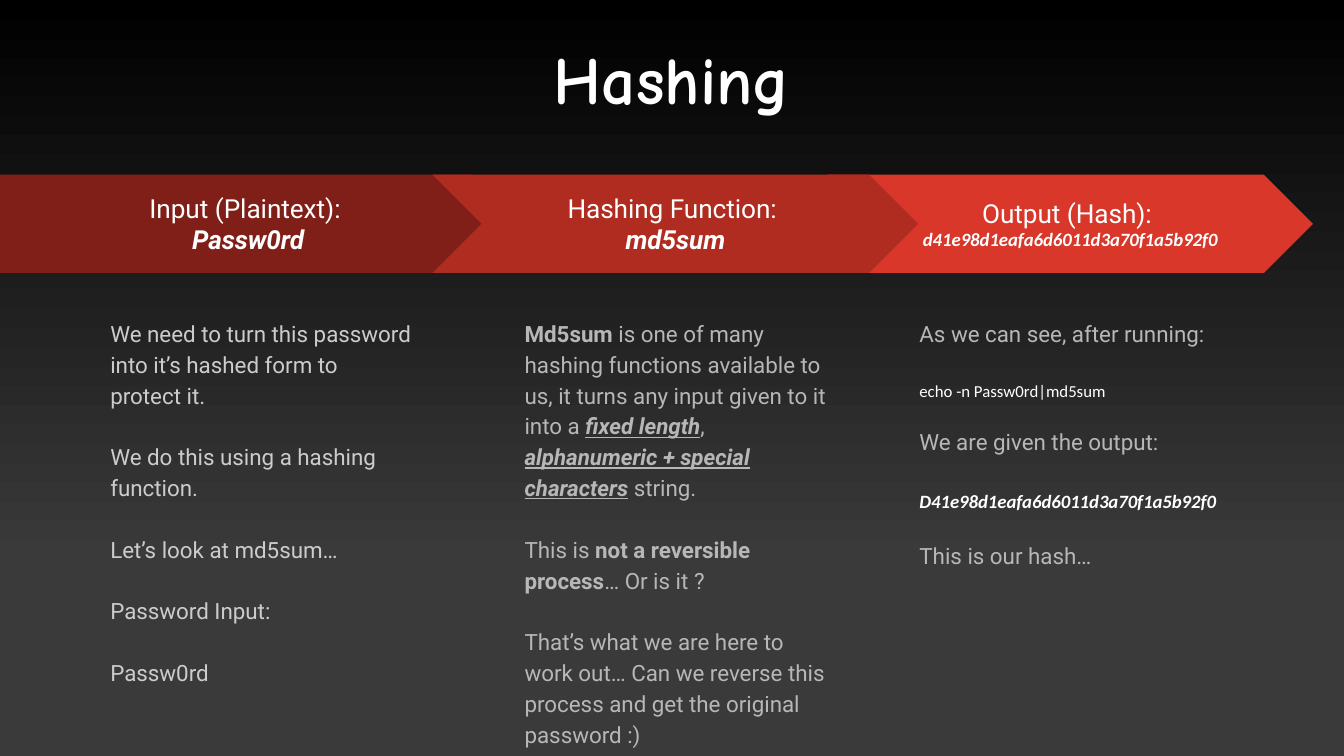
from dataclasses import dataclass, replace

from lxml.etree import SubElement
from pptx import Presentation
from pptx.dml.color import RGBColor
from pptx.enum.shapes import MSO_SHAPE
from pptx.enum.text import MSO_ANCHOR, MSO_AUTO_SIZE, PP_ALIGN
from pptx.oxml.ns import qn
from pptx.util import Cm, Pt

BLACK = RGBColor(0x00, 0x00, 0x00)
CHARCOAL = RGBColor(0x3A, 0x3A, 0x3A)
WHITE = RGBColor(0xFF, 0xFF, 0xFF)
LIGHT_GREY = RGBColor(0xCC, 0xCC, 0xCC)
GREY = RGBColor(0xB7, 0xB7, 0xB7)
DARK_RED = RGBColor(0x80, 0x1F, 0x17)
MID_RED = RGBColor(0xB0, 0x2B, 0x20)
BRIGHT_RED = RGBColor(0xD8, 0x37, 0x29)


@dataclass(frozen=True)
class TextStyle:
    size: float
    name: str
    color: RGBColor = WHITE
    bold: bool = False
    italic: bool = False
    underline: bool = False

    def apply(self, font):
        font.size = Pt(self.size)
        font.name = self.name
        font.color.rgb = self.color
        font.bold = self.bold
        font.italic = self.italic
        font.underline = self.underline


TITLE = TextStyle(48, "Comic Neue", bold=True)
LABEL = TextStyle(18.67, "Roboto")
LABEL_STRONG = replace(LABEL, bold=True, italic=True)
HASH = TextStyle(13.33, "Calibri", bold=True, italic=True)
COMMAND = TextStyle(12, "Calibri")
INTRO = TextStyle(16, "Roboto", LIGHT_GREY)
BODY = replace(INTRO, color=GREY)
STRONG = replace(BODY, bold=True)
KEY = replace(STRONG, italic=True, underline=True)


class HashingSlide:
    """Holds the slide and the shared spacing of its text."""

    inset = Cm(0.34)
    line_spacing = 1.15

    def __init__(self, deck, layout_index):
        self.slide = deck.slides.add_slide(deck.slide_layouts[layout_index])

    def background(self, top, bottom, end):
        fill = self.slide.background.fill
        fill.gradient()
        fill.gradient_angle = 270
        for stop, color, position in zip(fill.gradient_stops, (top, bottom), (0, end)):
            stop.color.rgb = color
            stop.position = position

    def prepare(self, frame, inset, anchor):
        frame.word_wrap = True
        frame.auto_size = MSO_AUTO_SIZE.NONE
        frame.vertical_anchor = anchor
        frame.margin_left = frame.margin_right = inset
        frame.margin_top = frame.margin_bottom = inset

    def place(self, box, left, top, width, height):
        box.left, box.top = Cm(left), Cm(top)
        box.width, box.height = Cm(width), Cm(height)

    def add_spans(self, para, spans, gap=0):
        para.space_before = Pt(gap)
        for text, style in spans:
            span = para.add_run()
            span.text = text
            style.apply(span.font)

    def title(self, text):
        box = self.slide.shapes.title
        self.place(box, 0.53, 0.41, 32.8, 3.1)
        self.prepare(box.text_frame, Cm(0.25), MSO_ANCHOR.MIDDLE)
        para = box.text_frame.paragraphs[0]
        para.alignment = PP_ALIGN.CENTER
        self.add_spans(para, [(text, TITLE)])

    def arrow(self, kind, left, width, color, lines):
        box = self.slide.shapes.add_shape(kind, Cm(left), Cm(4.4), Cm(width), Cm(2.48))
        box.adjustments[0] = 0.5
        box.shadow.inherit = False
        box.fill.solid()
        box.fill.fore_color.rgb = color
        box.line.fill.background()
        frame = box.text_frame
        self.prepare(frame, self.inset, MSO_ANCHOR.MIDDLE)
        for index, line in enumerate(lines):
            para = frame.add_paragraph() if index else frame.paragraphs[0]
            para.alignment = PP_ALIGN.CENTER
            self.add_spans(para, [line])

    def column(self, index, left, paragraphs):
        box = self.slide.placeholders[index]
        self.place(box, left, 7.62, 8.28, 9.68)
        frame = box.text_frame
        self.prepare(frame, self.inset, MSO_ANCHOR.TOP)
        for number, (gap, spans) in enumerate(paragraphs):
            para = frame.add_paragraph() if number else frame.paragraphs[0]
            properties = para._p.get_or_add_pPr()
            properties.set("marL", "0")
            properties.set("indent", "0")
            SubElement(properties, qn("a:buNone"))
            para.alignment = PP_ALIGN.LEFT
            para.line_spacing = self.line_spacing
            self.add_spans(para, spans, gap)

    def remove_empty_placeholders(self):
        for box in list(self.slide.placeholders):
            if not box.text_frame.text:
                box.element.getparent().remove(box.element)


def main():
    deck = Presentation()
    deck.slide_width, deck.slide_height = Cm(33.87), Cm(19.05)
    page = HashingSlide(deck, 4)
    page.background(BLACK, CHARCOAL, 0.74)
    page.title("Hashing")

    # Process arrows, from back to front
    page.arrow(MSO_SHAPE.CHEVRON, 20.85, 12.24, BRIGHT_RED,
               [("Output (Hash): ", LABEL), ("d41e98d1eafa6d6011d3a70f1a5b92f0", HASH)])
    page.arrow(MSO_SHAPE.PENTAGON, 0, 13.13, DARK_RED,
               [("Input (Plaintext): ", LABEL), ("Passw0rd", LABEL_STRONG)])
    page.arrow(MSO_SHAPE.CHEVRON, 10.9, 12.24, MID_RED,
               [("Hashing Function: ", LABEL), ("md5sum", LABEL_STRONG)])

    # Explanations: each paragraph has its gap in points and its spans
    line = 22
    page.column(1, 2.44, [
        (0, [("We need to turn this password into it’s hashed form to protect it.", INTRO)]),
        (line, [("We do this using a hashing function.", INTRO)]),
        (line, [("Let’s look at md5sum…", INTRO)]),
        (line, [("Password Input:", INTRO)]),
        (line, [("Passw0rd", INTRO)]),
    ])
    page.column(2, 12.88, [
        (0, [("Md5sum", STRONG),
             (" is one of many hashing functions available to us, "
              "it turns any input given to it into a ", BODY),
             ("fixed length", KEY), (", ", BODY),
             ("alphanumeric + special characters", KEY), (" string.", BODY)]),
        (line, [("This is ", BODY), ("not a reversible process", STRONG),
                ("… Or is it ?", BODY)]),
        (line, [("That’s what we are here to work out… Can we reverse this "
                 "process and get the original password :)", BODY)]),
    ])
    page.column(3, 22.83, [
        (0, [("As we can see, after running:", BODY)]),
        (line, [("echo -n Passw0rd|md5sum", COMMAND)]),
        (17, [("We are given the output:", BODY)]),
        (line, [("D41e98d1eafa6d6011d3a70f1a5b92f0", HASH)]),
        (18.5, [("This is our hash…", BODY)]),
    ])

    page.remove_empty_placeholders()
    deck.save("out.pptx")


if __name__ == "__main__":
    main()
